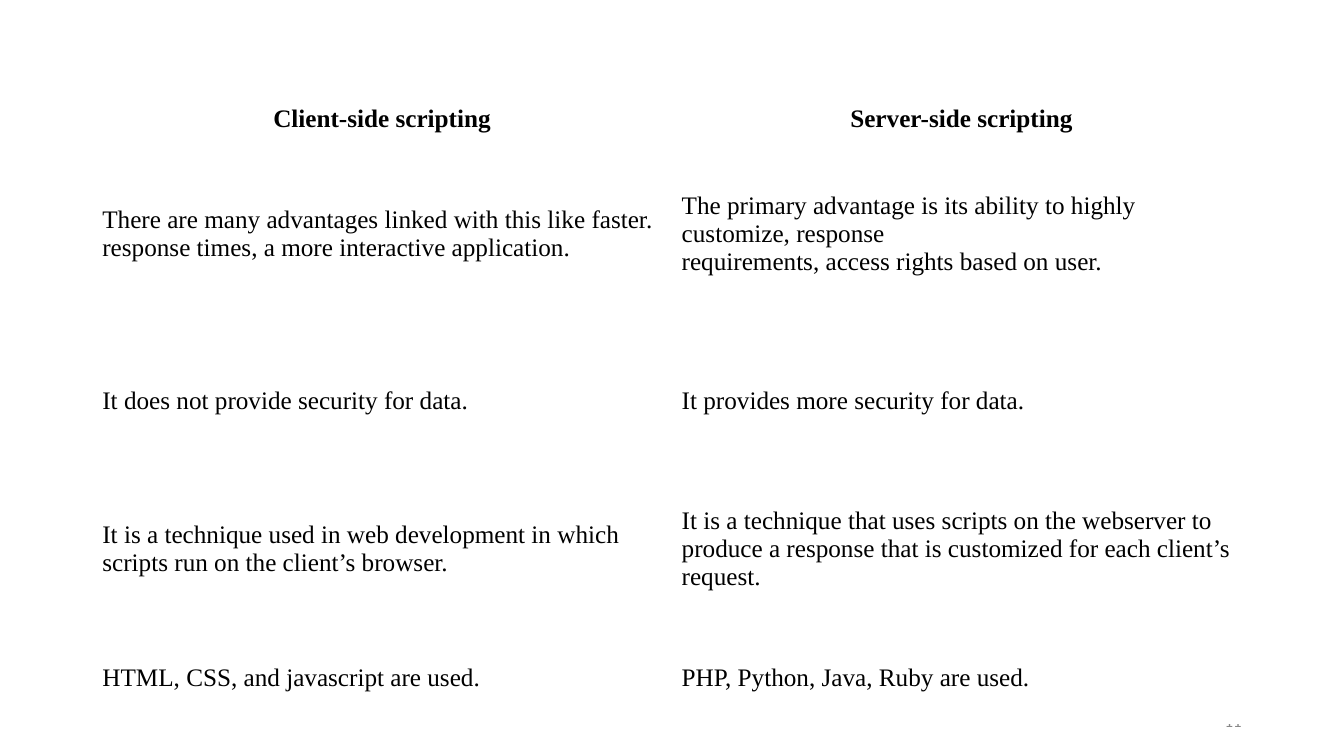
import pptx
import pptx.util
import pptx.dml.color
import pptx.enum.text
from pptx.util import Cm, Pt

RGB = pptx.dml.color.RGBColor.from_string
ALIGN = pptx.enum.text.PP_ALIGN
MIDDLE = pptx.enum.text.MSO_ANCHOR.MIDDLE

THEME = {
    "text": RGB("000000"),
    "number": RGB("888888"),
    "fill": RGB("FFFFFF"),
    "table_font": "Times New Roman",
    "number_font": "Calibri",
    "table_size": Pt(18),
    "number_size": Pt(12),
}


def add_run(p, text, font, size, color, bold=False):
    r = p.add_run()
    r.text = text
    r.font.name = font
    r.font.size = size
    r.font.color.rgb = color
    r.font.bold = bold


prs = pptx.Presentation()
prs.slide_width = Cm(33.87)
prs.slide_height = Cm(19.05)
s = prs.slides.add_slide(prs.slide_layouts[6])

number = s.shapes.add_textbox(Cm(23.92), Cm(17.66), Cm(7.62), Cm(1.01))
tf = number.text_frame
tf.word_wrap = True
tf.vertical_anchor = MIDDLE
p = tf.paragraphs[0]
p.alignment = ALIGN.RIGHT
add_run(p, "11", THEME["number_font"], THEME["number_size"], THEME["number"])

rows = [
    (2.03, ["Client-side scripting"], ["Server-side scripting"]),
    (4.47,
     ["There are many advantages linked with this like faster.",
      "response times, a more interactive application."],
     ["The primary advantage is its ability to highly customize, response",
      "requirements, access rights based on user."]),
    (3.25, ["It does not provide security for data."],
     ["It provides more security for data."]),
    (4.22,
     ["It is a technique used in web development in which scripts run on the client’s browser."],
     ["It is a technique that uses scripts on the webserver to produce a response "
      "that is customized for each client’s request."]),
    (2.29, ["HTML, CSS, and javascript are used."],
     ["PHP, Python, Java, Ruby are used."]),
]

table = s.shapes.add_table(
    len(rows), 2, Cm(2.33), Cm(1.98), Cm(29.2), Cm(sum(row[0] for row in rows))
).table
table.first_row = False
table.horz_banding = False
for column in table.columns:
    column.width = Cm(14.6)

for i, (height, *texts) in enumerate(rows):
    table.rows[i].height = Cm(height)
    header = i == 0
    for j, lines in enumerate(texts):
        cell = table.cell(i, j)
        cell.fill.solid()
        cell.fill.fore_color.rgb = THEME["fill"]
        cell.vertical_anchor = MIDDLE
        cell.margin_left = cell.margin_right = Cm(0.25)
        cell.margin_top = Cm(0.25 if header else 0.38)
        cell.margin_bottom = Cm(1.09) if len(lines) > 1 else cell.margin_top
        p = cell.text_frame.paragraphs[0]
        p.alignment = ALIGN.CENTER if header else ALIGN.LEFT
        for k, line in enumerate(lines):
            if k:
                p.add_line_break()
            add_run(p, line, THEME["table_font"], THEME["table_size"], THEME["text"], header)

prs.save("out.pptx")
